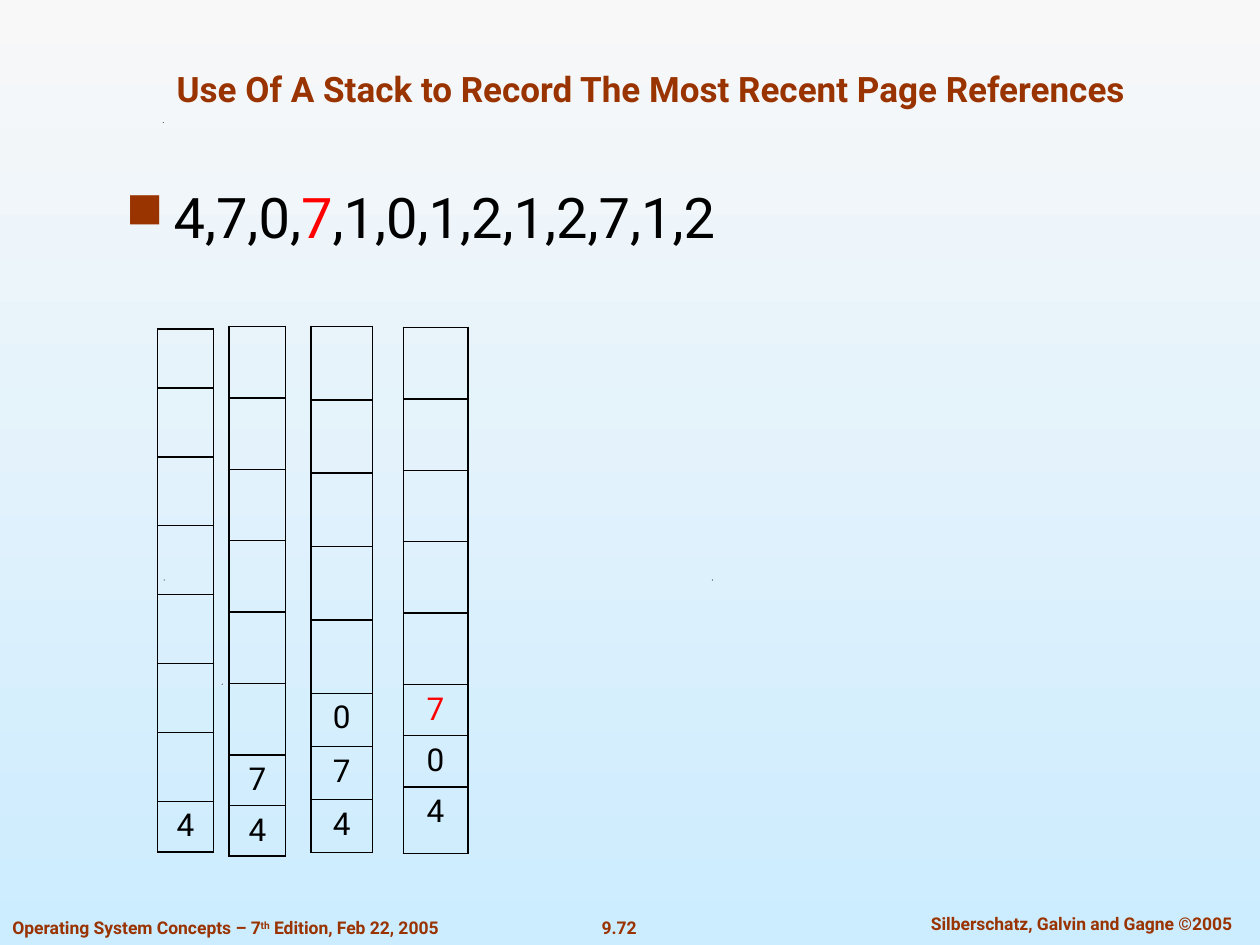
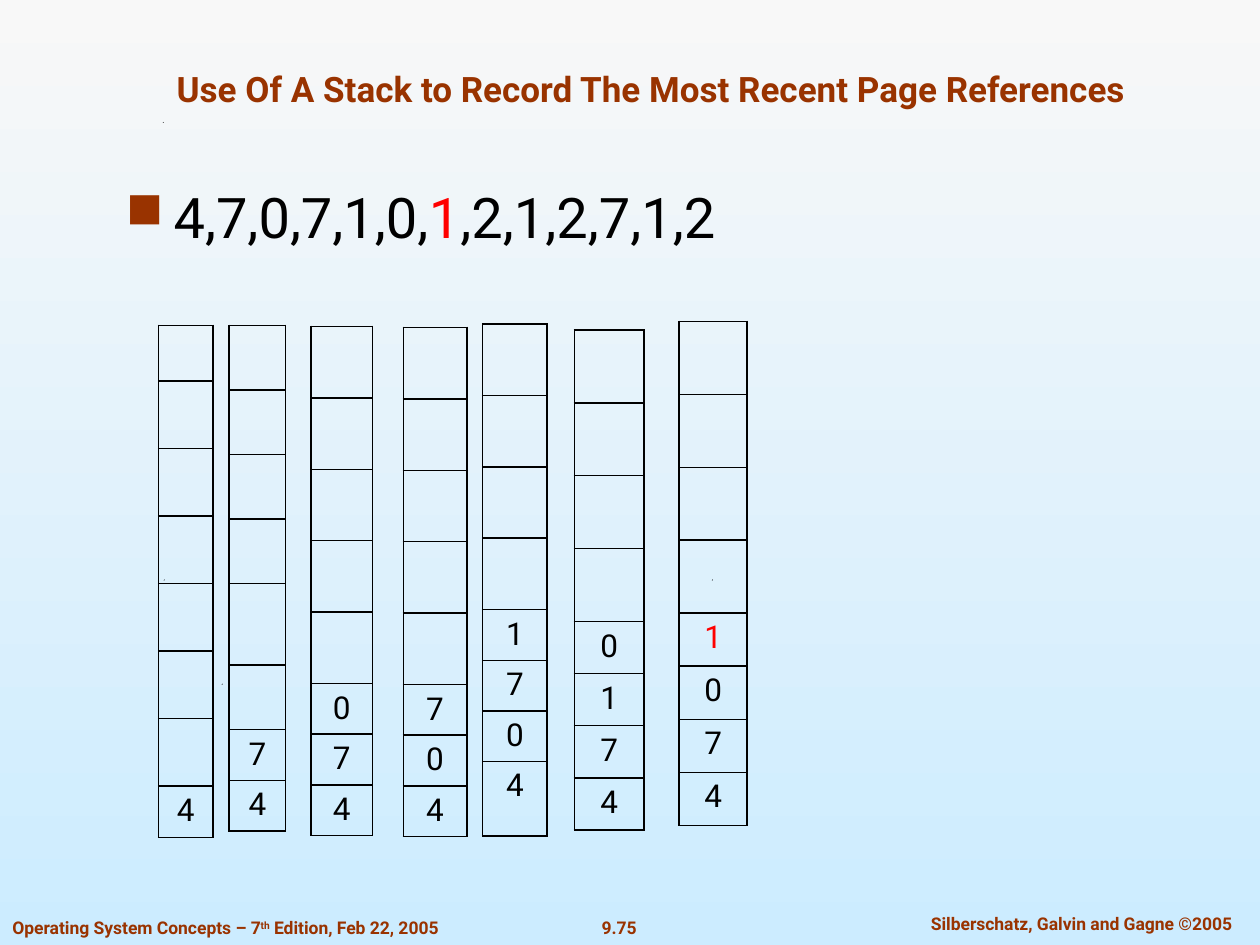
from lxml import etree
from pptx import Presentation
from pptx.dml.color import RGBColor
from pptx.enum.text import MSO_ANCHOR as ANCHOR, PP_ALIGN as ALIGN
from pptx.oxml import parse_xml
from pptx.oxml.ns import nsdecls, qn
from pptx.util import Cm, Pt

FONT = "Roboto"
BROWN, BLACK, RED = "993300", "000000", "FF0000"
TITLE = "Use Of A Stack to Record The Most Recent Page References"
REFERENCES = "4707101212712"
ROWS = 8
SPECKS = [(4.47, 13.78), (3.3, 11.68), (14.35, 11.68), (3.28, 2.46)]

# Stack: left, top, width, empty row, filled row, pages, odd row heights (cm)
SLIDES = [
    dict(number="9.72", current=3, stacks=[
        (3.18, 6.63, 1.12, 1.39, 1.02, "4", {0: 1.19}),
        (4.62, 6.58, 1.14, 1.44, 1.02, "74", {}),
        (6.27, 6.58, 1.24, 1.48, 1.07, "074", {}),
        (8.13, 6.6, 1.3, 1.44, 1.03, "704", {7: 1.35}),
    ]),
    dict(number="9.75", current=6, stacks=[
        (3.2, 6.56, 1.09, 1.36, 1.04, "4", {0: 1.12}),
        (4.62, 6.56, 1.14, 1.3, 1.02, "74", {4: 1.65}),
        (6.27, 6.58, 1.24, 1.44, 1.02, "074", {}),
        (8.13, 6.6, 1.28, 1.44, 1.02, "704", {}),
        (9.73, 6.53, 1.3, 1.44, 1.02, "1704", {7: 1.5}),
        (11.58, 6.65, 1.4, 1.47, 1.05, "0174", {}),
        (13.69, 6.48, 1.37, 1.47, 1.07, "1074", {}),
    ]),
]


def rgb(color):
    return RGBColor.from_string(color)


def write(tf, *parts, size=18, color=BLACK, bold=False, align=ALIGN.CENTER,
          wrap=True, anchor=ANCHOR.TOP):
    """Fill the first paragraph; a part is a text or a (text, colour) pair."""
    tf.word_wrap = wrap
    tf.vertical_anchor = anchor
    p = tf.paragraphs[0]
    p.alignment = align
    for part in parts:
        text, part_color = (part, color) if isinstance(part, str) else part
        r = p.add_run()
        r.text = text
        r.font.name, r.font.size, r.font.bold = FONT, Pt(size), bold
        r.font.color.rgb = rgb(part_color)
    return p


prs = Presentation()
prs.slide_width, prs.slide_height = Cm(25.4), Cm(19.05)

for data in SLIDES:
    s = prs.slides.add_slide(prs.slide_layouts[6])
    fill = s.background.fill
    fill.gradient()
    fill.gradient_angle = 270
    for stop, position, color in zip(fill.gradient_stops, (0, 1), ("F8F8F8", "CCECFF")):
        stop.position = position
        stop.color.rgb = rgb(color)

    for x, y in SPECKS:
        builder = s.shapes.build_freeform(Cm(x), Cm(y + 0.02))
        builder.add_line_segments([(Cm(x + 0.02), Cm(y)), (Cm(x + 0.02), Cm(y + 0.02))])
        sp = builder.convert_to_shape()
        sp.shadow.inherit = False
        sp.fill.solid()
        sp.fill.fore_color.rgb = rgb(BLACK)
        sp.line.fill.background()

    number, rights, book, title, body = [
        s.shapes.add_textbox(*map(Cm, box)).text_frame for box in [
            (11.86, 18.36, 1.24, 0.69),
            (18.03, 18.29, 7.54, 0.69),
            (0, 18.36, 9.6, 0.69),
            (1.91, 0.64, 22.43, 1.7),
            (2.29, 3.56, 20.42, 1.85),
        ]]
    footer = dict(size=10, color=BROWN, bold=True)
    write(number, data["number"], wrap=False, **footer)
    write(rights, "Silberschatz, Galvin and Gagne ©2005", **footer)
    p = write(book, "Operating System Concepts – 7", "th", " Edition, Feb 22, 2005",
              align=ALIGN.LEFT, **footer)
    p.runs[1].font._element.set("baseline", "30000")
    write(title, TITLE, size=20, color=BROWN, bold=True, anchor=ANCHOR.BOTTOM)

    current = data["current"]
    pPr = body.paragraphs[0]._p.get_or_add_pPr()
    pPr.set("marL", str(Cm(0.96)))
    pPr.set("indent", str(-Cm(0.96)))
    bullet_color = etree.SubElement(pPr, qn("a:buClr"))
    etree.SubElement(bullet_color, qn("a:srgbClr"), val=BROWN)
    etree.SubElement(pPr, qn("a:buSzPct"), val="90000")
    etree.SubElement(pPr, qn("a:buChar"), char="■")
    write(body, ",".join(REFERENCES[:current]) + ",", (REFERENCES[current], RED),
          "," + ",".join(REFERENCES[current + 1:]), size=32, align=ALIGN.LEFT)

    for i, (x, y, width, empty, filled, pages, odd) in enumerate(data["stacks"]):
        first = ROWS - len(pages)
        heights = [odd.get(n, empty if n < first else filled) for n in range(ROWS)]
        table = s.shapes.add_table(ROWS, 1, Cm(x), Cm(y), Cm(width), Cm(sum(heights))).table
        table.first_row = table.horz_banding = False
        table.columns[0].width = Cm(width)
        for n, height in enumerate(heights):
            table.rows[n].height = Cm(height)
            cell = table.cell(n, 0)
            tcPr = cell._tc.get_or_add_tcPr()
            for side in "LRTB":
                tcPr.append(parse_xml(
                    f'<a:ln{side} {nsdecls("a")} w="12700"><a:solidFill>'
                    f'<a:srgbClr val="{BLACK}"/></a:solidFill></a:ln{side}>'))
            cell.fill.background()
            if n >= first:
                newest = i == current and n == first
                write(cell.text_frame, pages[n - first], color=RED if newest else BLACK)

prs.save("out.pptx")
